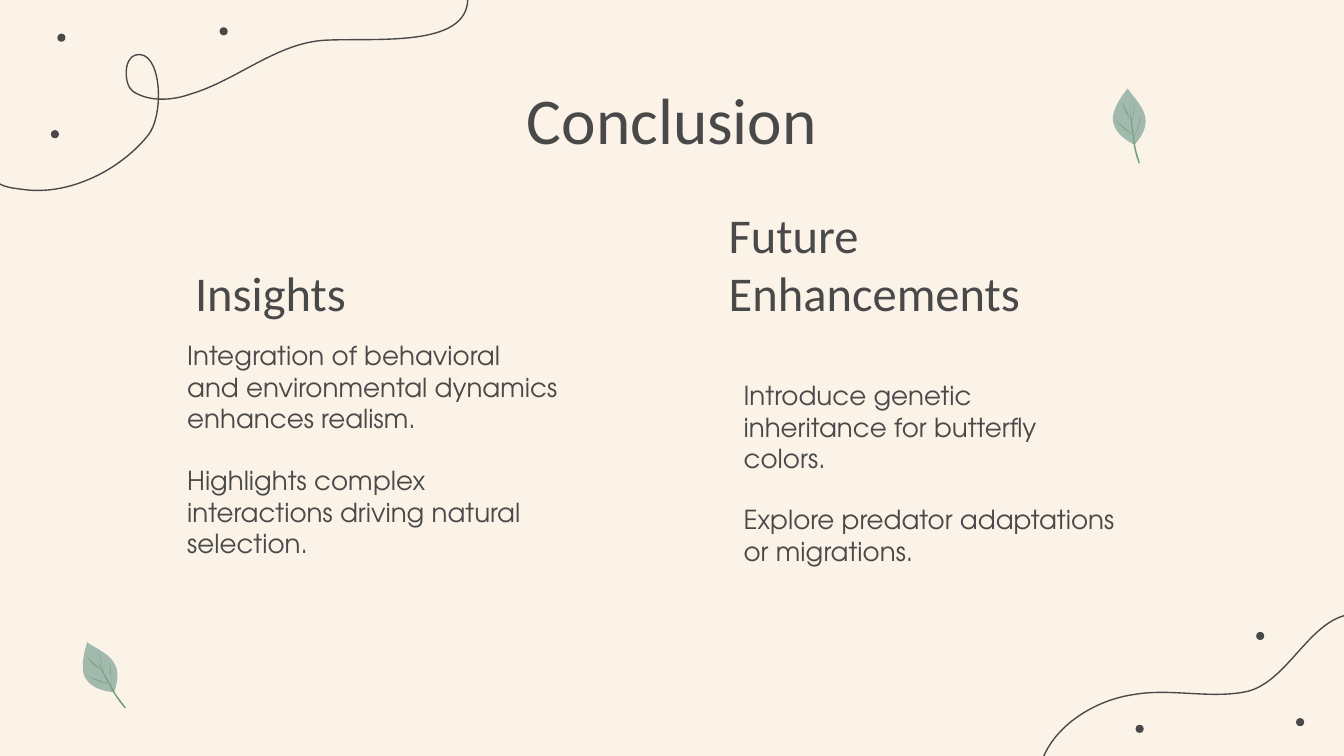
from dataclasses import dataclass
from math import cos, radians, sin

from pptx import Presentation
from pptx.dml.color import RGBColor as Rgb
from pptx.enum.shapes import MSO_SHAPE as Kind
from pptx.enum.text import MSO_ANCHOR as Anchor, PP_ALIGN as Align
from pptx.oxml.ns import qn
from pptx.oxml.xmlchemy import OxmlElement as Node
from pptx.util import Pt


@dataclass(frozen=True)
class Theme:
    paper: str = "FBF3E8"
    ink: str = "494949"
    blade: str = "A2BAAD"
    vein: str = "719F7B"
    head: str = "Calibri"
    body: str = "TeX Gyre Adventor"
    title: float = 35
    sub: float = 26
    text: float = 14
    pen: float = 0.75
    dot: float = 3.6
    inset: float = 7.2


THEME = Theme()

# Each curve is a start point followed by three points per Bezier segment.
SWIRLS = [
    [(-3.6, 94.3), (-2.2, 100.1), (6.5, 100.8), (12.2, 101.5),
     (36.7, 105.1), (64.1, 91.4), (79.2, 72.7),
     (88.6, 61.2), (86.4, 25.9), (72.7, 29.5),
     (66.2, 31), (66.2, 45.4), (71.3, 49),
     (79.9, 54.7), (92.2, 54), (102.2, 50.4),
     (126.7, 43.2), (148.3, 23), (174.2, 21.6),
     (200.9, 20.2), (250.6, 25.9), (250.6, -0.7)],
    [(726.5, 329), (702, 329), (690.5, 366.5), (666.7, 370.8),
     (647.3, 374.4), (626.4, 368.6), (607, 372.2),
     (586.8, 375.1), (564.5, 388.8), (558, 408.2)],
]
DOTS = [(119.8, 16.8), (32.9, 20.2), (29.4, 71.9),
        (610.5, 390.5), (696.5, 386.9), (675.1, 340.7)]

# Leaf curves are measured from the tip of the leaf.
BLADE = [(0, 0), (0.7, 2.2), (8.6, 9.4), (9.4, 15.8),
         (10.8, 23), (3.6, 30.2), (3.6, 30.2),
         (3.6, 30.2), (-6.5, 25.9), (-7.9, 18),
         (-9.4, 10.8), (0, 0), (0, 0)]
VEINS = [
    [(-2.9, 7.9), (-1.4, 10.8), (0, 13.7), (1.4, 16.6),
     (-0.7, 13.7), (-2.2, 10.8), (-2.9, 7.9)],
    [(-6.5, 17.3), (-3.6, 19.4), (0, 23), (2.9, 25.2),
     (-0.7, 23), (-3.6, 20.2), (-6.5, 17.3)],
    [(3.6, 7.9), (3.6, 11.5), (2.9, 15.1), (2.2, 18.7),
     (2.9, 15.1), (3.2, 11.5), (3.6, 7.9)],
    [(7.2, 14.4), (6.5, 18.7), (5, 23), (2.9, 27.4),
     (5, 23), (5.8, 18.7), (7.2, 14.4)],
    [(1.4, 11.5), (1.4, 13.7), (2.2, 16.6), (2.2, 18.7),
     (2.9, 23), (3.6, 28.1), (4.3, 32.4),
     (5, 35.3), (5.8, 37.4), (6.5, 40.3),
     (6.5, 40.3), (5.8, 40.3), (5.8, 40.3),
     (4.3, 36), (2.9, 31), (2.9, 26.6),
     (2.2, 22.3), (1.4, 18), (1.4, 11.5)],
]
# Tip position and turn in degrees.
LEAVES = [(46.8, 344, -21.3), (604.2, 47.3, 0)]


def paint(shape, fill=None, line=None):
    shape.shadow.inherit = False
    for part, tint in ((shape.fill, fill), (shape.line.fill, line)):
        if tint:
            part.solid()
            part.fore_color.rgb = Rgb.from_string(tint)
        else:
            part.background()
    if line:
        shape.line.width = Pt(THEME.pen)


def bend(shape):
    """Join each three straight segments into one Bezier segment."""
    lines = list(shape.element.iter(qn("a:lnTo")))
    for i in range(0, len(lines), 3):
        curve = Node("a:cubicBezTo")
        lines[i].addprevious(curve)
        for line in lines[i:i + 3]:
            curve.append(line[0])
            line.getparent().remove(line)


def outline(shapes, curve, close, **look):
    points = [(Pt(x), Pt(y)) for x, y in curve]
    form = shapes.build_freeform(*points[0], scale=1.0)
    # The last point already meets the first, so closing adds no segment.
    form.add_line_segments(points[1:], close=close)
    shape = form.convert_to_shape()
    bend(shape)
    paint(shape, **look)


def dot(shapes, x, y):
    size = THEME.dot
    spot = shapes.add_shape(Kind.OVAL, Pt(x - size / 2),
                            Pt(y - size / 2), Pt(size), Pt(size))
    paint(spot, THEME.ink, THEME.ink)


def leaf(shapes, x, y, turn):
    c, s = cos(radians(turn)), sin(radians(turn))
    group = shapes.add_group_shape().shapes
    for curve in [BLADE, *VEINS]:
        placed = [(x + a * c - b * s, y + a * s + b * c) for a, b in curve]
        tint = THEME.blade if curve is BLADE else THEME.vein
        outline(group, placed, True, fill=tint)


def text(shapes, box, lines, font, size, anchor=Anchor.TOP,
         align=Align.LEFT, gap=0, foot=THEME.inset):
    """Add a text box; gap parts its paragraphs, foot is the bottom inset."""
    frame = shapes.add_textbox(*map(Pt, box)).text_frame
    edge = Pt(THEME.inset)
    form = {"word_wrap": True, "vertical_anchor": anchor,
            "margin_left": edge, "margin_right": edge,
            "margin_top": edge, "margin_bottom": Pt(foot)}
    for name, value in form.items():
        setattr(frame, name, value)
    for i, line in enumerate(lines):
        para = frame.add_paragraph() if i else frame.paragraphs[0]
        para.alignment = align
        para.space_before = Pt(gap if i else 0)
        run = para.add_run()
        run.text = line
        for name, value in {"name": font, "size": Pt(size)}.items():
            setattr(run.font, name, value)
        run.font.color.rgb = Rgb.from_string(THEME.ink)


def main():
    deck = Presentation()
    deck.slide_width, deck.slide_height = Pt(720), Pt(405)
    slide = deck.slides.add_slide(deck.slide_layouts[6])
    back = slide.background.fill
    back.solid()
    back.fore_color.rgb = Rgb.from_string(THEME.paper)
    shapes = slide.shapes

    for swirl in SWIRLS:
        outline(shapes, swirl, False, line=THEME.ink)
    for spot in DOTS:
        dot(shapes, *spot)
    text(shapes, (56.5, 35.4, 607, 45.4), ["Conclusion"],
         THEME.head, THEME.title, align=Align.CENTER)
    for spot in LEAVES:
        leaf(shapes, *spot)

    text(shapes, (391.3, 196.3, 213.1, 50.4),
         ["Introduce genetic inheritance for butterfly colors.",
          "Explore predator adaptations or migrations."],
         THEME.body, THEME.text, gap=16)
    text(shapes, (93.2, 232.6, 213.1, 90.7),
         ["Integration of behavioral and environmental dynamics "
          "enhances realism.",
          "Highlights complex interactions driving natural selection."],
         THEME.body, THEME.text, Anchor.BOTTOM, gap=16.6, foot=23.9)
    for box, name in (((97.4, 96.5, 250.6, 82.8), "Insights"),
                      ((383.3, 96.5, 213.1, 82.8), "Future Enhancements")):
        text(shapes, box, [name], THEME.head, THEME.sub, Anchor.BOTTOM)
    deck.save("out.pptx")


if __name__ == "__main__":
    main()
